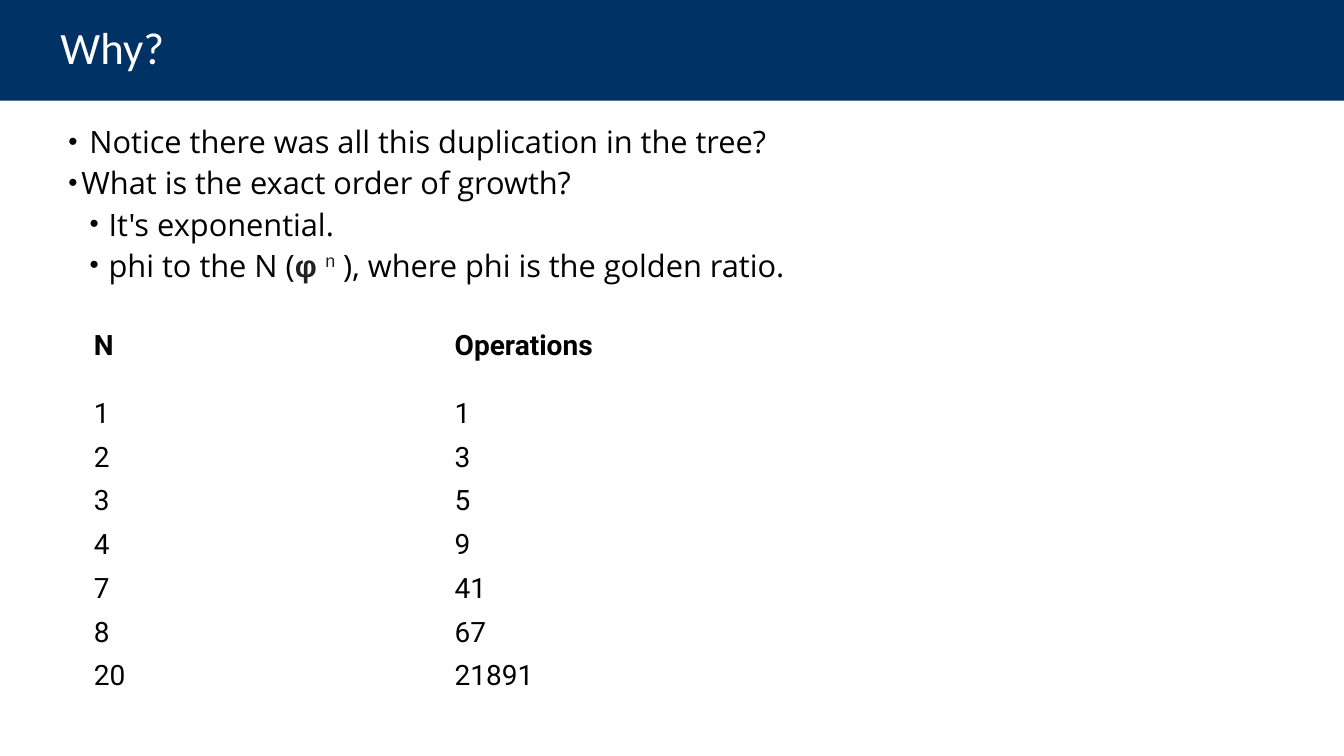
from dataclasses import dataclass

import pptx
import pptx.dml.color
import pptx.enum.shapes
import pptx.enum.text
import pptx.oxml
import pptx.oxml.ns
import pptx.util
from pptx.util import Inches


@dataclass(frozen=True)
class Theme:
    banner: str = "003265"
    paper: str = "FFFFFF"
    ink: str = "000000"
    phi_ink: str = "202122"
    title_font: str = "Calibri"
    body_font: str = "Open Sans"
    phi_font: str = "Arial"
    table_font: str = "Roboto"
    title_size: int = 32
    body_size: int = 22
    table_size: int = 20


@dataclass(frozen=True)
class Span:
    text: str
    font: str
    color: str
    bold: bool = False
    raised: bool = False


@dataclass(frozen=True)
class Bullet:
    spans: tuple[Span, ...]
    level: int = 0


THEME = Theme()
INDENTS = ((0.13, -0.13), (0.32, -0.11))  # left margin and first line, per level


def plain(text: str) -> Span:
    return Span(text, THEME.body_font, THEME.ink)


BULLETS = (
    Bullet((plain(" Notice there was all this duplication in the tree?"),)),
    Bullet((plain("What is the exact order of growth?"),)),
    Bullet((plain(" It's exponential."),), 1),
    Bullet((
        plain(" phi to the N ("),
        Span("φ ", THEME.phi_font, THEME.phi_ink, bold=True),
        Span("n", THEME.phi_font, THEME.phi_ink, raised=True),
        plain(" ), where phi is the golden ratio."),
    ), 1),
)
OPERATIONS = (
    ("N", "Operations"),
    ("1", "1"), ("2", "3"), ("3", "5"), ("4", "9"),
    ("7", "41"), ("8", "67"), ("20", "21891"),
)


def rgb(color: str) -> pptx.dml.color.RGBColor:
    return pptx.dml.color.RGBColor.from_string(color)


def style_run(run, font: str, size: int, color: str, bold: bool = False) -> None:
    run.font.name = font
    run.font.size = pptx.util.Pt(size)
    run.font.color.rgb = rgb(color)
    run.font.bold = bold


def add_bullet_mark(paragraph, level: int) -> None:
    properties = paragraph._p.get_or_add_pPr()
    margin, first_line = INDENTS[level]
    properties.set("marL", str(Inches(margin)))
    properties.set("indent", str(Inches(first_line)))
    for tag, attribute, value in (
        ("a:buSzPct", "val", "85000"),
        ("a:buFont", "typeface", "Arial"),
        ("a:buChar", "char", "•"),
    ):
        mark = pptx.oxml.parse_xml(f"<{tag} {pptx.oxml.ns.nsdecls('a')}/>")
        mark.set(attribute, value)
        properties.append(mark)


def add_banner(slide, title: str) -> None:
    banner = slide.shapes.add_shape(
        pptx.enum.shapes.MSO_SHAPE.RECTANGLE, 0, 0, Inches(13.33), Inches(1))
    banner.shadow.inherit = False
    banner.fill.solid()
    banner.fill.fore_color.rgb = rgb(THEME.banner)
    banner.line.fill.background()
    frame = banner.text_frame
    frame.margin_left, frame.margin_right = Inches(0.6), Inches(1)
    frame.vertical_anchor = pptx.enum.text.MSO_ANCHOR.MIDDLE
    frame.text = title
    heading = frame.paragraphs[0]
    heading.alignment = pptx.enum.text.PP_ALIGN.LEFT
    heading.line_spacing = 0.9
    style_run(heading.runs[0], THEME.title_font, THEME.title_size, THEME.paper)


def add_bullets(slide, bullets: tuple[Bullet, ...]) -> None:
    body = slide.shapes.add_textbox(
        Inches(0.58), Inches(1.17), Inches(9.58), Inches(5.75))
    frame = body.text_frame
    frame.word_wrap = True
    for index, bullet in enumerate(bullets):
        paragraph = frame.add_paragraph() if index else frame.paragraphs[0]
        paragraph.level = bullet.level
        if index:
            paragraph.space_before = pptx.util.Pt(3)
        add_bullet_mark(paragraph, bullet.level)
        for span in bullet.spans:
            run = paragraph.add_run()
            run.text = span.text
            style_run(run, span.font, THEME.body_size, span.color, span.bold)
            if span.raised:
                run.font._element.set("baseline", "30000")


def add_operations_table(slide, rows: tuple[tuple[str, str], ...]) -> None:
    header_height, row_height, column_width = 0.92, 0.43, 3.58
    table = slide.shapes.add_table(
        len(rows), len(rows[0]), Inches(0.83), Inches(2.97),
        Inches(column_width * len(rows[0])),
        Inches(header_height + row_height * (len(rows) - 1))).table
    table.first_row = table.horz_banding = False
    for column in table.columns:
        column.width = Inches(column_width)
    for index, values in enumerate(rows):
        table.rows[index].height = Inches(row_height if index else header_height)
        for cell, value in zip(table.rows[index].cells, values):
            cell.fill.solid()
            cell.fill.fore_color.rgb = rgb(THEME.paper)
            cell.vertical_anchor = pptx.enum.text.MSO_ANCHOR.MIDDLE
            cell.text_frame.text = value
            style_run(cell.text_frame.paragraphs[0].runs[0], THEME.table_font,
                      THEME.table_size, THEME.ink, bold=index == 0)


def main() -> None:
    deck = pptx.Presentation()
    deck.slide_width, deck.slide_height = Inches(13.33), Inches(7.5)
    slide = deck.slides.add_slide(deck.slide_layouts[6])
    add_banner(slide, "Why?")
    add_bullets(slide, BULLETS)
    add_operations_table(slide, OPERATIONS)
    deck.save("out.pptx")


if __name__ == "__main__":
    main()
